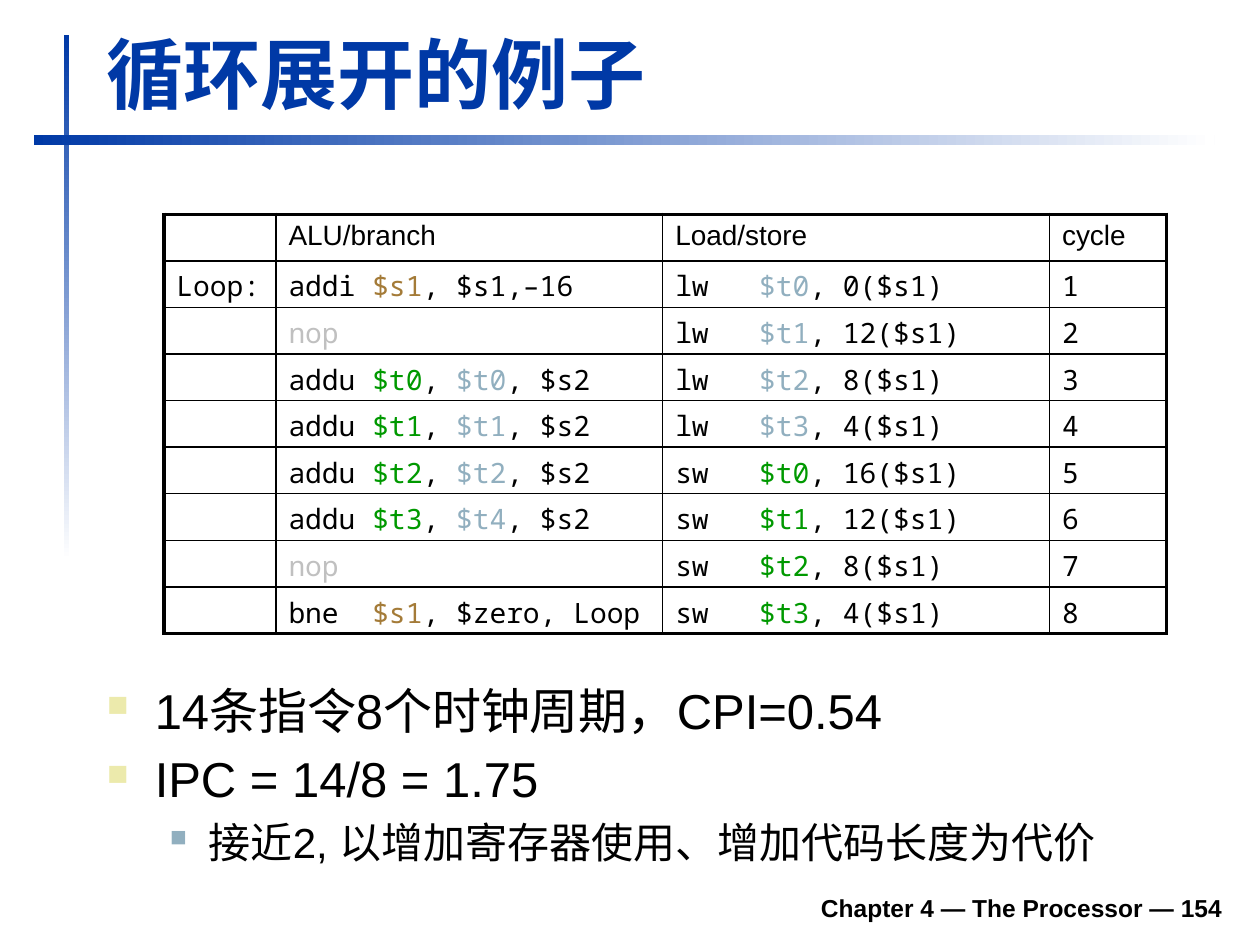
from dataclasses import dataclass
from typing import NamedTuple

from lxml.etree import SubElement
from pptx import Presentation
from pptx.dml.color import RGBColor
from pptx.enum.shapes import MSO_SHAPE
from pptx.enum.text import MSO_ANCHOR, MSO_AUTO_SIZE, PP_ALIGN
from pptx.oxml.ns import qn
from pptx.util import Inches, Pt

WIDTH, HEIGHT = Inches(10), Inches(7.5)


@dataclass(frozen=True)
class Theme:
    """Colours, fonts and type sizes of the slide."""
    blue: str = "0039A6"
    white: str = "FFFFFF"
    black: str = "000000"
    gray: str = "C0C0C0"
    gold: str = "A47B38"
    steel: str = "91AFBF"
    green: str = "009900"
    cream: str = "ECEAAC"
    sans: str = "Arial"
    mono: str = "Noto Sans Mono"
    title: float = 44
    body: float = 28
    sub: float = 24
    code: float = 16
    foot: float = 14


THEME = Theme()
INKS = {"g": THEME.green, "s": THEME.steel, "o": THEME.gold, "n": THEME.gray}


class Box(NamedTuple):
    """A place in percent of the slide's width and height."""
    left: float
    top: float
    wide: float
    high: float

    def emu(self) -> tuple:
        """Return left, top, width and height as lengths."""
        sides = zip(self, (WIDTH, HEIGHT) * 2)
        return tuple(round(part * side / 100) for part, side in sides)


class Bar(NamedTuple):
    """A fading bar and the angle of its fade."""
    box: Box
    angle: float


class Point(NamedTuple):
    """A bulleted line with indents in inches."""
    text: str
    level: int
    size: float
    left: float
    hang: float
    tint: str
    share: int


BARS = (Bar(Box(5.1, 3.73, 0.4, 55.6), 270), Bar(Box(2.7, 14.27, 93.7, 1.07), 0))
POINTS = (
    Point("14条指令8个时钟周期，CPI=0.54", 0, THEME.body, 0.38, 0.38, THEME.cream, 60),
    Point("IPC = 14/8 = 1.75", 0, THEME.body, 0.38, 0.38, THEME.cream, 60),
    Point("接近2, 以增加寄存器使用、增加代码长度为代价", 1, THEME.sub, 0.81, 0.31,
          THEME.steel, 55),
)
GRID = Box(13, 22.67, 79.6, 44.4)
COLS = (8.9, 30.7, 30.7, 9.3)
HEAD = ("", "ALU/branch", "Load/store", "cycle")
STEPS = (
    ("addi |o$s1|, $s1,–16", "lw   |s$t0|, 0($s1)"),
    ("|nnop|", "lw   |s$t1|, 12($s1)"),
    ("addu |g$t0|, |s$t0|, $s2", "lw   |s$t2|, 8($s1)"),
    ("addu |g$t1|, |s$t1|, $s2", "lw   |s$t3|, 4($s1)"),
    ("addu |g$t2|, |s$t2|, $s2", "sw   |g$t0|, 16($s1)"),
    ("addu |g$t3|, |s$t4|, $s2", "sw   |g$t1|, 12($s1)"),
    ("|nnop|", "sw   |g$t2|, 8($s1)"),
    ("bne  |o$s1|, $zero, Loop", "sw   |g$t3|, 4($s1)"),
)


def style(para, size: float, ink: str = THEME.black, face: str = THEME.sans,
          bold: bool = False) -> None:
    """Set the font of a paragraph."""
    font = para.font
    font.size, font.name, font.bold = Pt(size), face, bold
    font.color.rgb = RGBColor.from_string(ink)


def frame(slide, box: Box, anchor=MSO_ANCHOR.TOP):
    """Add a wrapping text box and return its frame."""
    text = slide.shapes.add_textbox(*box.emu()).text_frame
    text.word_wrap = True
    text.vertical_anchor = anchor
    return text


def draw_bar(slide, bar: Bar) -> None:
    """Draw a bar that fades from blue to white."""
    shape = slide.shapes.add_shape(MSO_SHAPE.RECTANGLE, *bar.box.emu())
    shape.shadow.inherit = False
    shape.line.fill.background()
    shape.fill.gradient()
    shape.fill.gradient_angle = bar.angle
    for stop, ink in zip(shape.fill.gradient_stops, (THEME.blue, THEME.white)):
        stop.color.rgb = RGBColor.from_string(ink)


def draw_point(para, point: Point) -> None:
    """Write a bulleted line."""
    para.text = point.text
    para.level = point.level
    props = para._p.get_or_add_pPr()
    props.set("marL", str(Inches(point.left)))
    props.set("indent", str(-Inches(point.hang)))
    tint = SubElement(props, qn("a:buClr"))
    SubElement(tint, qn("a:srgbClr"), val=point.tint)
    SubElement(props, qn("a:buSzPct"), val=str(point.share * 1000))
    SubElement(props, qn("a:buChar"), char="■")
    style(para, point.size)


def edge(cell, side: str, wide: float) -> None:
    """Add one border line to a cell."""
    props = cell._tc.get_or_add_tcPr()
    line = SubElement(props, qn(f"a:ln{side}"), w=str(Pt(wide)))
    fill = SubElement(line, qn("a:solidFill"))
    SubElement(fill, qn("a:srgbClr"), val=THEME.black)


def draw_cell(cell, text: str, face: str) -> None:
    """Write a cell, colouring the parts between bars."""
    para = cell.text_frame.paragraphs[0]
    style(para, THEME.code, face=face)
    for spot, part in enumerate(text.split("|")):
        if not part:
            continue
        run = para.add_run()
        run.text = part[1:] if spot % 2 else part
        if spot % 2:
            run.font.color.rgb = RGBColor.from_string(INKS[part[0]])


def draw_table(slide) -> None:
    """Draw the schedule of the unrolled loop."""
    rows = [HEAD] + [("" if num > 1 else "Loop:", *step, str(num))
                     for num, step in enumerate(STEPS, 1)]
    last, end = len(rows) - 1, len(COLS) - 1
    table = slide.shapes.add_table(len(rows), len(COLS), *GRID.emu()).table
    table.first_row = table.horz_banding = False
    for col, wide in zip(table.columns, COLS):
        col.width = round(WIDTH * wide / 100)
    for y, row in enumerate(rows):
        table.rows[y].height = Inches(0.37)
        for x, text in enumerate(row):
            cell = table.cell(y, x)
            edge(cell, "L", 1 if x else 2.25)
            edge(cell, "R", 2.25 if x == end else 1)
            edge(cell, "T", {0: 2.25, 1: 1.5}.get(y, 1))
            edge(cell, "B", {0: 1.5, last: 2.25}.get(y, 1))
            cell.fill.background()
            draw_cell(cell, text, THEME.mono if y and text else THEME.sans)


def main() -> None:
    """Build the slide and save it."""
    deck = Presentation()
    deck.slide_width, deck.slide_height = WIDTH, HEIGHT
    slide = deck.slides.add_slide(deck.slide_layouts[6])
    for bar in BARS:
        draw_bar(slide, bar)
    foot = frame(slide, Box(18.5, 93.07, 79.5, 5.2), MSO_ANCHOR.BOTTOM).paragraphs[0]
    foot.text = "Chapter 4 — The Processor — 154"
    foot.alignment = PP_ALIGN.RIGHT
    style(foot, THEME.foot, bold=True)
    title = frame(slide, Box(7.5, 2.13, 90.3, 11.07), MSO_ANCHOR.BOTTOM)
    title.auto_size = MSO_AUTO_SIZE.SHAPE_TO_FIT_TEXT
    title.paragraphs[0].text = "循环展开的例子"
    style(title.paragraphs[0], THEME.title, THEME.blue, bold=True)
    body = frame(slide, Box(7.5, 71.33, 90.5, 19.6))
    for spot, point in enumerate(POINTS):
        para = body.add_paragraph() if spot else body.paragraphs[0]
        draw_point(para, point)
        if spot:
            para.space_before = Pt(point.size * 0.2)
    draw_table(slide)
    deck.save("out.pptx")


if __name__ == "__main__":
    main()
